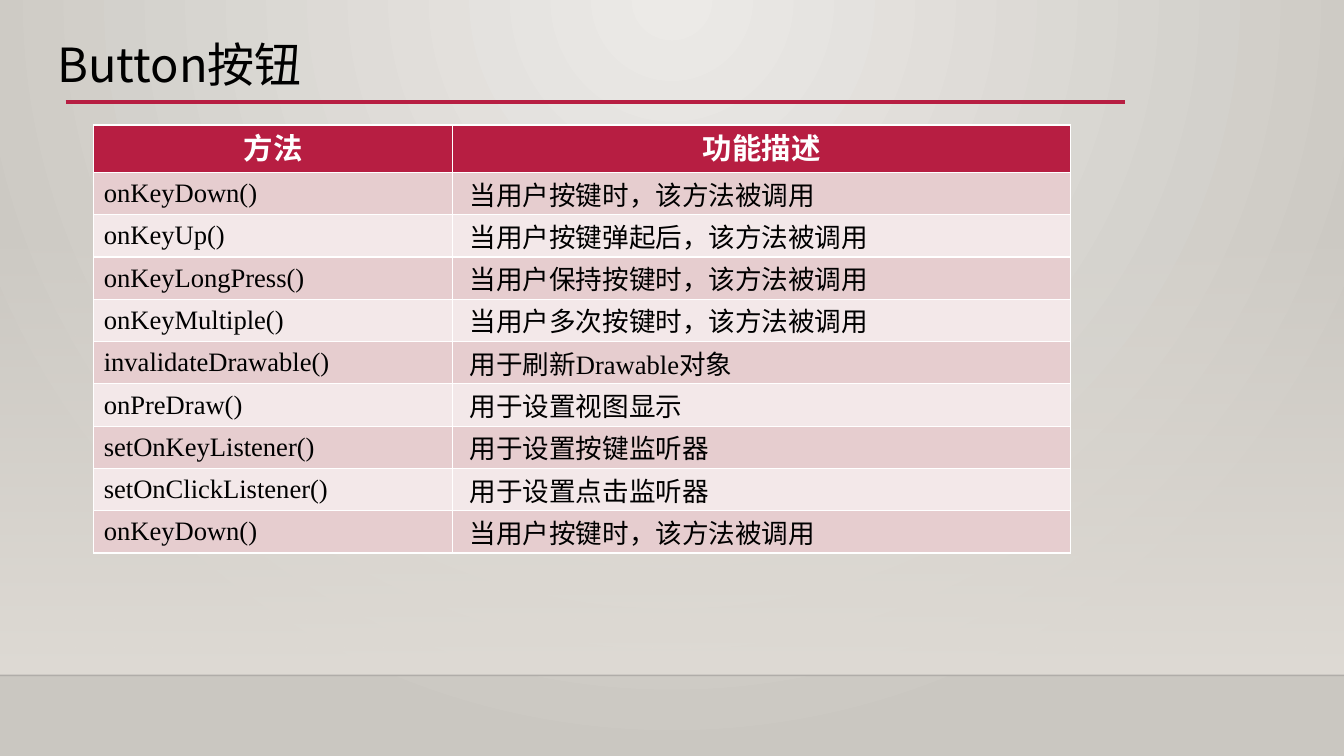
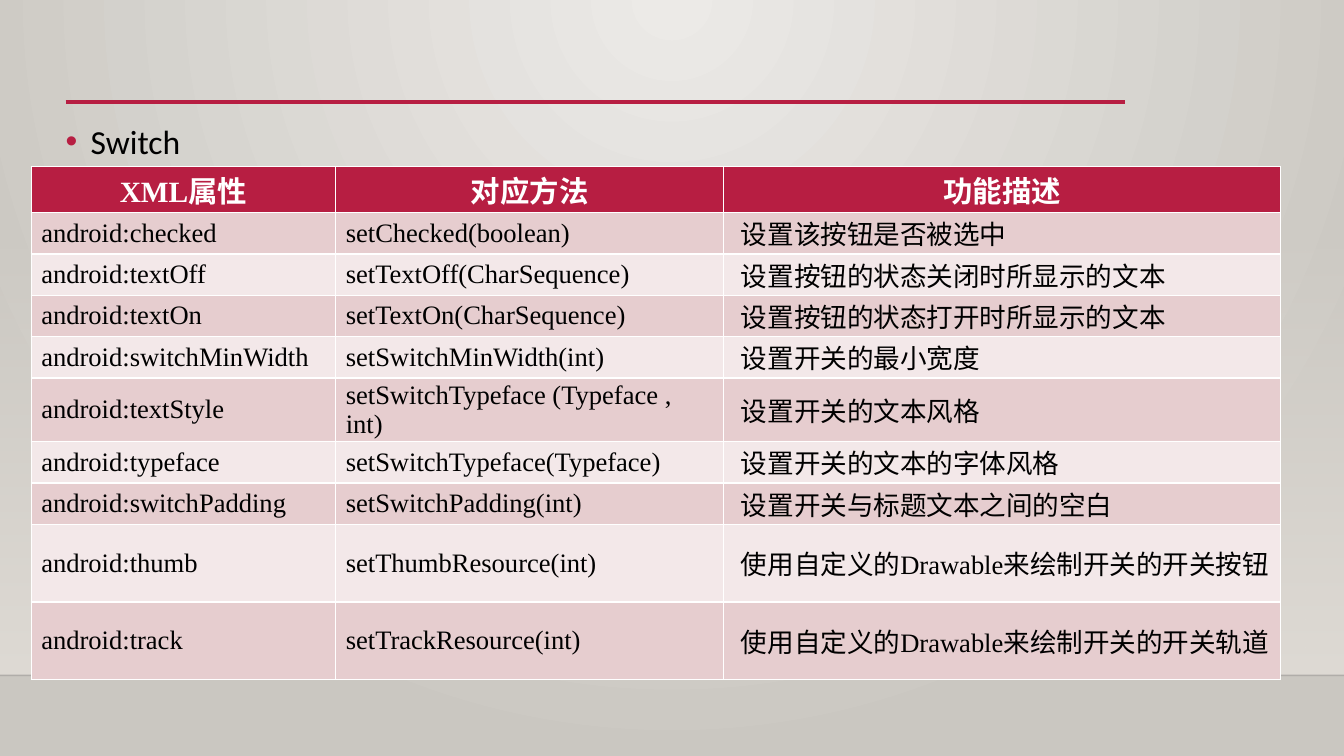
"""Builds two slides of method tables for the Button and Switch widgets."""
from dataclasses import dataclass

from pptx import Presentation, oxml
from pptx.dml.color import RGBColor
from pptx.enum import shapes, text
from pptx.oxml import ns
from pptx.util import Inches, Pt

RED, BLACK, WHITE = "B71E42", "000000", "FFFFFF"
STRIPES = ("E6CDCF", "F3E8E9")
WALL_LIGHT, WALL_DARK, WALL_BAND = "ECEAE7", "CAC7C1", "DFDBD5"
CJK_FONT, CODE_FONT, HEADING_FONT, BULLET_FONT = (
    "Noto Sans CJK SC", "Times New Roman", "Arial", "Calibri")
SLIDE_WIDTH, SLIDE_HEIGHT, FLOOR_TOP, BAND_TOP = 13.33, 7.5, 6.7, 2.21
CIRCLE = '<a:path path="circle"><a:fillToRect l="43000" t="0" r="43000" b="100000"/></a:path>'
DOWNWARD = '<a:lin ang="5400000" scaled="0"/>'


@dataclass(frozen=True)
class MethodTable:
    """Content and geometry of one table, in inches."""
    left: float
    top: float
    columns: tuple[float, ...]
    heights: tuple[float, ...]
    header_font: str
    header_anchor: text.MSO_ANCHOR
    header: tuple[str, ...]
    rows: tuple[tuple[str, ...], ...]


@dataclass(frozen=True)
class Rule:
    """A horizontal line shared by all slides."""
    left: float
    right: float
    top: float
    color: str
    width: float
    alpha: int = 100


RULES = (
    Rule(0, SLIDE_WIDTH, FLOOR_TOP, "000001", 1, 20),
    Rule(0.65, 11.16, 1.01, RED, 2.5),
)

BUTTON_TABLE = MethodTable(
    0.93, 1.24, (3.56, 6.13), (0.47,) + (0.42,) * 9, HEADING_FONT, text.MSO_ANCHOR.TOP,
    ("方法", "功能描述"),
    (
        ("onKeyDown()", "当用户按键时，该方法被调用"),
        ("onKeyUp()", "当用户按键弹起后，该方法被调用"),
        ("onKeyLongPress()", "当用户保持按键时，该方法被调用"),
        ("onKeyMultiple()", "当用户多次按键时，该方法被调用"),
        ("invalidateDrawable()", "用于刷新Drawable对象"),
        ("onPreDraw()", "用于设置视图显示"),
        ("setOnKeyListener()", "用于设置按键监听器"),
        ("setOnClickListener()", "用于设置点击监听器"),
        ("onKeyDown()", "当用户按键时，该方法被调用"),
    ),
)

SWITCH_TABLE = MethodTable(
    0.31, 1.65, (3.02, 3.85, 5.52),
    (0.46,) + (0.41,) * 4 + (0.59,) + (0.41,) * 2 + (0.77,) * 2,
    CODE_FONT, text.MSO_ANCHOR.MIDDLE,
    ("XML属性", "对应方法", "功能描述"),
    (
        ("android:checked", "setChecked(boolean)", "设置该按钮是否被选中"),
        ("android:textOff", "setTextOff(CharSequence)", "设置按钮的状态关闭时所显示的文本"),
        ("android:textOn", "setTextOn(CharSequence)", "设置按钮的状态打开时所显示的文本"),
        ("android:switchMinWidth", "setSwitchMinWidth(int)", "设置开关的最小宽度"),
        ("android:textStyle", "setSwitchTypeface (Typeface , int)", "设置开关的文本风格"),
        ("android:typeface", "setSwitchTypeface(Typeface)", "设置开关的文本的字体风格"),
        ("android:switchPadding", "setSwitchPadding(int)", "设置开关与标题文本之间的空白"),
        ("android:thumb", "setThumbResource(int)", "使用自定义的Drawable来绘制开关的开关按钮"),
        ("android:track", "setTrackResource(int)", "使用自定义的Drawable来绘制开关的开关轨道"),
    ),
)


def rgb(color: str) -> RGBColor:
    """Return the colour of a hex string."""
    return RGBColor.from_string(color)


def element(tag: str, attributes: str = "", content: str = ""):
    """Return a new element of the drawing namespace."""
    return oxml.parse_xml(f"<a:{tag} {ns.nsdecls('a')} {attributes}>{content}</a:{tag}>")


def make_gradient(solid_fill, stops: tuple[tuple[str, int], ...], direction: str) -> None:
    """Replace a solid fill by a two-stop gradient of (colour, opacity)."""
    marks = "".join(
        f'<a:gs pos="{index * 100000}"><a:srgbClr val="{color}">'
        f'<a:alpha val="{opacity * 1000}"/></a:srgbClr></a:gs>'
        for index, (color, opacity) in enumerate(stops))
    gradient = element("gradFill", content=f"<a:gsLst>{marks}</a:gsLst>{direction}")
    solid_fill.getparent().replace(solid_fill, gradient)


def write(frame, content: str, *, font: str, size: float, color: str = BLACK,
          bold: bool = False, align=text.PP_ALIGN.LEFT, spacing: float | None = None) -> None:
    """Write one formatted paragraph into a text frame."""
    paragraph = frame.paragraphs[0]
    paragraph.alignment = align
    if spacing is not None:
        paragraph.line_spacing, paragraph.space_before = spacing, Pt(0)
    run = paragraph.add_run()
    run.text = content
    run.font.name, run.font.size, run.font.bold = font, Pt(size), bold
    run.font.color.rgb = rgb(color)
    run.font._element.append(element("ea", f'typeface="{CJK_FONT}"'))


def place(shape, left: float, top: float, width: float, height: float) -> None:
    """Move and size a shape, in inches."""
    shape.left, shape.top = Inches(left), Inches(top)
    shape.width, shape.height = Inches(width), Inches(height)


def set_margins(holder, left: float, top: float, right: float, bottom: float) -> None:
    """Set the inner margins of a cell or text frame, in inches."""
    holder.margin_left, holder.margin_top = Inches(left), Inches(top)
    holder.margin_right, holder.margin_bottom = Inches(right), Inches(bottom)


def draw_rule(slide, rule: Rule):
    """Draw a horizontal line and return it."""
    line = slide.shapes.add_connector(
        shapes.MSO_CONNECTOR.STRAIGHT, Inches(rule.left), Inches(rule.top),
        Inches(rule.right), Inches(rule.top))
    line.line.color.rgb, line.line.width = rgb(rule.color), Pt(rule.width)
    if rule.alpha < 100:
        color = line.element.spPr.xpath(".//a:srgbClr")[0]
        color.append(element("alpha", f'val="{rule.alpha * 1000}"'))
    line.element.spPr.append(element("effectLst"))
    return line


def dress_master(presentation, slide) -> None:
    """Give the master its background, band and rules, drawn by way of a slide."""
    master = presentation.slide_master
    master.background.fill.solid()
    make_gradient(master.element.xpath(".//p:bg//a:solidFill")[0],
                  ((WALL_LIGHT, 100), (WALL_DARK, 100)), CIRCLE)
    band = slide.shapes.add_shape(
        shapes.MSO_SHAPE.RECTANGLE, 0, Inches(BAND_TOP),
        Inches(SLIDE_WIDTH), Inches(FLOOR_TOP - BAND_TOP))
    band.shadow.inherit = False
    band.line.fill.background()
    band.fill.solid()
    make_gradient(band.element.spPr.xpath("./a:solidFill")[0],
                  ((WALL_BAND, 0), (WALL_BAND, 100)), DOWNWARD)
    decorations = [band] + [draw_rule(slide, rule) for rule in RULES]
    for index, shape in enumerate(decorations, start=2):
        master.shapes.element.insert(index, shape.element)


def dress_cell(cell, fill: str) -> None:
    """Fill a cell and draw its white borders."""
    properties = cell._tc.get_or_add_tcPr()
    for side in "LRTB":
        properties.append(element(
            f"ln{side}", f'w="{Pt(1)}"',
            f'<a:solidFill><a:srgbClr val="{WHITE}"/></a:solidFill>'))
    cell.fill.solid()
    cell.fill.fore_color.rgb = rgb(fill)


def add_method_table(slide, plan: MethodTable) -> None:
    """Draw a table with a red header and striped rows."""
    table = slide.shapes.add_table(
        len(plan.heights), len(plan.columns), Inches(plan.left), Inches(plan.top),
        Inches(sum(plan.columns)), Inches(sum(plan.heights))).table
    table.horz_banding = False
    for column, width in zip(table.columns, plan.columns):
        column.width = Inches(width)
    for row, height in zip(table.rows, plan.heights):
        row.height = Inches(height)
    last_column = len(plan.columns) - 1
    for column_index, heading in enumerate(plan.header):
        cell = table.cell(0, column_index)
        dress_cell(cell, RED)
        set_margins(cell, 0, 0, 0, 0)
        cell.vertical_anchor = plan.header_anchor
        write(cell.text_frame, heading, font=plan.header_font, size=21, color=WHITE,
              bold=True, align=text.PP_ALIGN.CENTER)
    for row_index, values in enumerate(plan.rows, start=1):
        for column_index, value in enumerate(values):
            cell = table.cell(row_index, column_index)
            described = column_index == last_column
            dress_cell(cell, STRIPES[(row_index - 1) % 2])
            set_margins(cell, 0.17 if described else 0.1, 0, 0.1, 0)
            cell.vertical_anchor = text.MSO_ANCHOR.MIDDLE
            write(cell.text_frame, value, font=CODE_FONT, size=19,
                  align=text.PP_ALIGN.JUSTIFY if described else text.PP_ALIGN.LEFT)


def fill_title(shape, content: str) -> None:
    """Place and write the slide title."""
    place(shape, 0.27, 0.37, 9.32, 0.6)
    frame = shape.text_frame
    set_margins(frame, 0.3, 0.05, 0.1, 0.05)
    frame.vertical_anchor = text.MSO_ANCHOR.MIDDLE
    frame.auto_size = text.MSO_AUTO_SIZE.NONE
    write(frame, content, font=CJK_FONT, size=33.6, spacing=0.9)


def fill_body(shape, content: str) -> None:
    """Place and write the single bullet above a table."""
    place(shape, 0.52, 1.07, 11.98, 0.58)
    frame = shape.text_frame
    set_margins(frame, 0.13, 0.07, 0.13, 0.07)
    frame.vertical_anchor = text.MSO_ANCHOR.MIDDLE
    frame.auto_size = text.MSO_AUTO_SIZE.SHAPE_TO_FIT_TEXT
    properties = frame.paragraphs[0]._p.get_or_add_pPr()
    properties.set("marL", str(Inches(0.25)))
    properties.set("indent", str(Inches(-0.25)))
    properties.append(element("buClr", content=f'<a:srgbClr val="{RED}"/>'))
    properties.append(element("buFont", 'typeface="Arial"'))
    properties.append(element("buChar", 'char="•"'))
    write(frame, content, font=BULLET_FONT, size=24, spacing=1.2)


def add_table_slide(presentation, plan: MethodTable, title: str = "", bullet: str = ""):
    """Add a slide with a table and an optional title and bullet."""
    slide = presentation.slides.add_slide(presentation.slide_layouts[1])
    title_shape, body_shape = slide.placeholders
    for shape, content, fill in ((title_shape, title, fill_title),
                                 (body_shape, bullet, fill_body)):
        if content:
            fill(shape, content)
        else:
            shape.element.getparent().remove(shape.element)
    add_method_table(slide, plan)
    return slide


def main() -> None:
    """Build and save the presentation."""
    presentation = Presentation()
    presentation.slide_width = Inches(SLIDE_WIDTH)
    presentation.slide_height = Inches(SLIDE_HEIGHT)
    first_slide = add_table_slide(presentation, BUTTON_TABLE, title="Button按钮")
    dress_master(presentation, first_slide)
    add_table_slide(presentation, SWITCH_TABLE, bullet="Switch")
    presentation.save("out.pptx")


if __name__ == "__main__":
    main()
